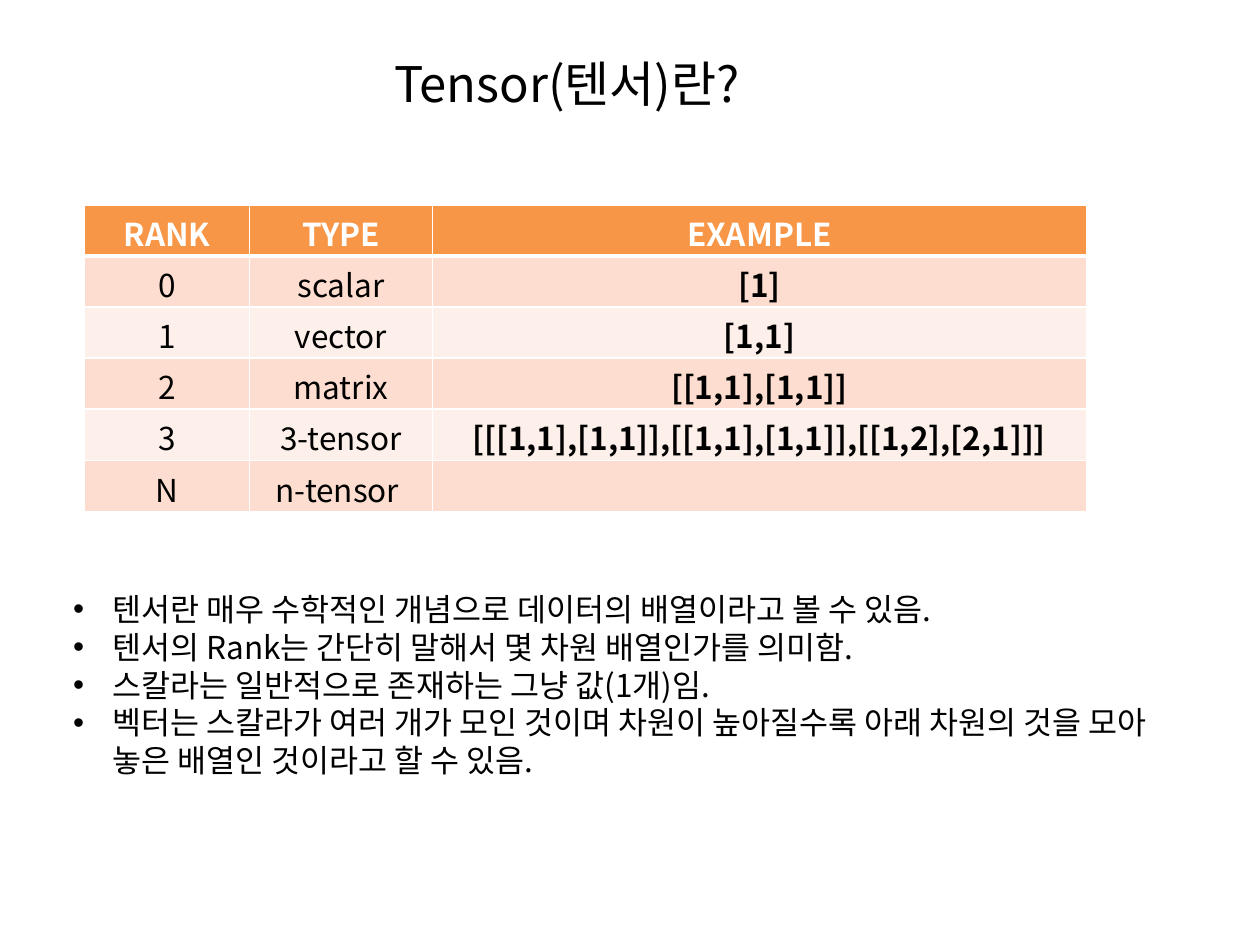
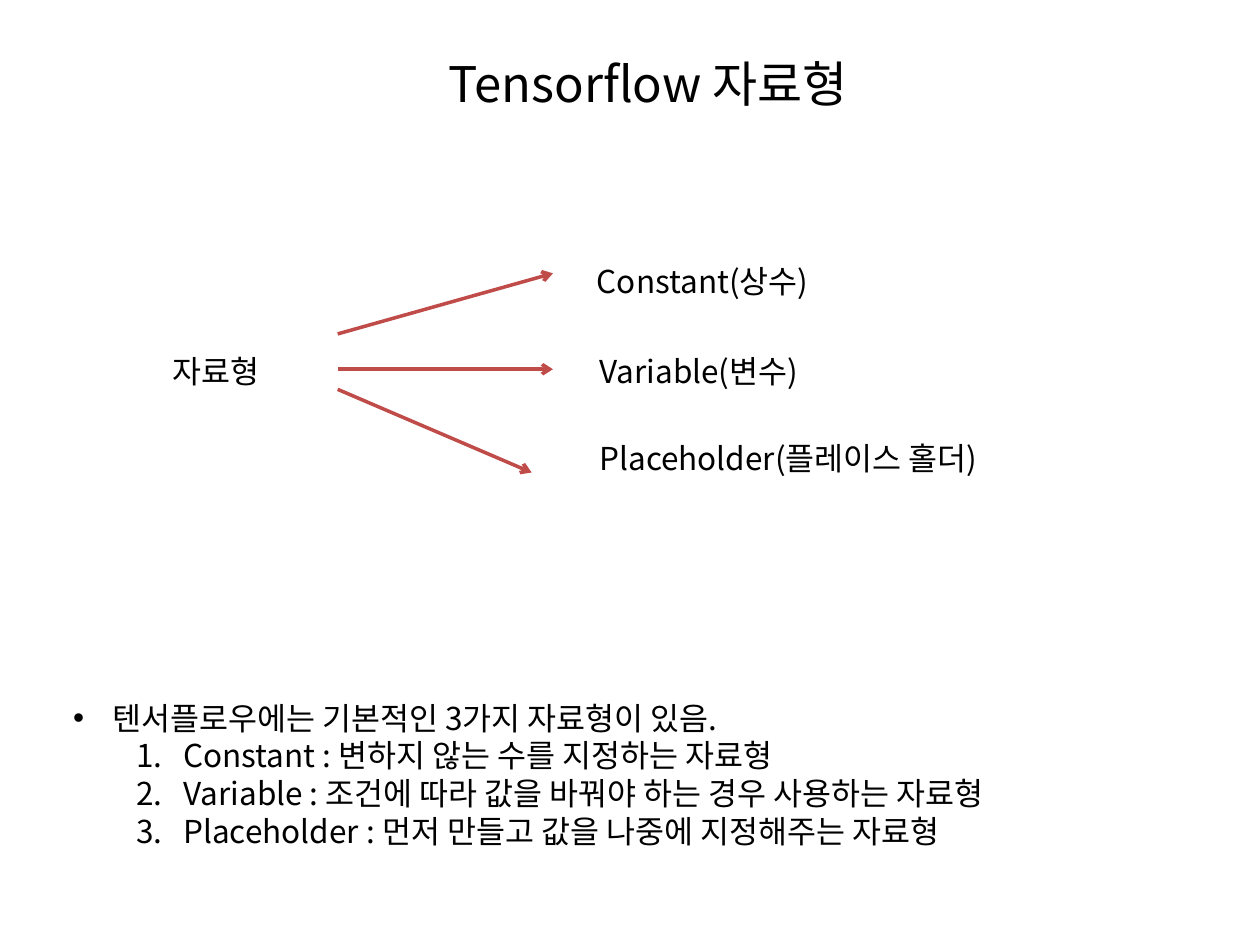
import pptx
import pptx.util
import pptx.dml.color
import pptx.enum.shapes
import pptx.enum.text
import pptx.oxml
import pptx.oxml.ns
import lxml.etree

Pt = pptx.util.Pt
RGBColor = pptx.dml.color.RGBColor
PP_ALIGN = pptx.enum.text.PP_ALIGN
qn = pptx.oxml.ns.qn

FONT = "Noto Sans CJK KR"
BLACK = RGBColor(0x00, 0x00, 0x00)
WHITE = RGBColor(0xFF, 0xFF, 0xFF)
ORANGE = RGBColor(0xF7, 0x96, 0x46)
PEACH = RGBColor(0xFC, 0xDD, 0xCF)
PALE_PEACH = RGBColor(0xFD, 0xEF, 0xE9)
RED = RGBColor(0xBF, 0x4C, 0x48)


def style_text(frame, size, color=BLACK, bold=False, align=PP_ALIGN.LEFT, spacing=None):
    frame.word_wrap = True
    for para in frame.paragraphs:
        para.alignment = align
        para.space_before = Pt(0)
        if spacing:
            para.line_spacing = Pt(spacing)
        for span in para.runs:
            span.font.name = FONT
            span.font.size = Pt(size)
            span.font.bold = bold
            span.font.color.rgb = color
            east_asian = lxml.etree.SubElement(span.font._element, qn("a:ea"))
            east_asian.set("typeface", FONT)


def place_text(box, text, area, size=18, align=PP_ALIGN.LEFT, spacing=21.6):
    box.left, box.top, box.width, box.height = [Pt(length) for length in area]
    frame = box.text_frame
    frame.text = text
    frame.auto_size = pptx.enum.text.MSO_AUTO_SIZE.NONE
    frame.vertical_anchor = pptx.enum.text.MSO_ANCHOR.TOP
    frame.margin_top = Pt(4.6)
    style_text(frame, size, align=align, spacing=spacing)


deck = pptx.Presentation()
deck.slide_width, deck.slide_height = Pt(720), Pt(540)

topics = [
    ("Tensor(텐서)란?", 218, PP_ALIGN.LEFT, (34.6, 332.6, 637, 116.6), [
        (0, "텐서란 매우 수학적인 개념으로 데이터의 배열이라고 볼 수 있음."),
        (0, "텐서의 Rank는 간단히 말해서 몇 차원 배열인가를 의미함."),
        (0, "스칼라는 일반적으로 존재하는 그냥 값(1개)임."),
        (0, "벡터는 스칼라가 여러 개가 모인 것이며 차원이 높아질수록 아래 차원의 것을 "
            "모아 놓은 배열인 것이라고 할 수 있음."),
    ]),
    ("Tensorflow 자료형", 211.7, PP_ALIGN.CENTER, (34.6, 394.6, 612, 116.6), [
        (0, "텐서플로우에는 기본적인 3가지 자료형이 있음."),
        (1, "Constant : 변하지 않는 수를 지정하는 자료형"),
        (1, "Variable : 조건에 따라 값을 바꿔야 하는 경우 사용하는 자료형"),
        (1, "Placeholder : 먼저 만들고 값을 나중에 지정해주는 자료형"),
    ]),
]
for title, title_left, title_align, list_area, items in topics:
    page = deck.slides.add_slide(deck.slide_layouts[1])
    place_text(page.shapes.title, title, (title_left, 23.8, 317.5, 41), 28, title_align, 35.6)
    body = page.placeholders[1]
    place_text(body, "\n".join(text for level, text in items), list_area)
    for para, (level, text) in zip(body.text_frame.paragraphs, items):
        para.level = level
        margin, indent = [(22.5, -22.5), (63, -27)][level]
        properties = para._p.get_or_add_pPr()
        properties.set("marL", str(Pt(margin)))
        properties.set("indent", str(Pt(indent)))
        if level:
            bullet = lxml.etree.SubElement(properties, qn("a:buAutoNum"))
            bullet.set("type", "arabicPeriod")
        else:
            bullet_font = lxml.etree.SubElement(properties, qn("a:buFont"))
            bullet_font.set("typeface", "Arial")
            bullet = lxml.etree.SubElement(properties, qn("a:buChar"))
            bullet.set("char", "•")

tensor_page, types_page = deck.slides

rank_rows = [
    ("RANK", "TYPE", "EXAMPLE"),
    ("0", "scalar", "[1]"),
    ("1", "vector", "[1,1]"),
    ("2", "matrix", "[[1,1],[1,1]]"),
    ("3", "3-tensor", "[[[1,1],[1,1]],[[1,1],[1,1]],[[1,2],[2,1]]]"),
    ("N", "n-tensor ", ""),
]
table = tensor_page.shapes.add_table(
    len(rank_rows), 3, Pt(48.4), Pt(117), Pt(572.4), Pt(175.2)).table
for column, width in zip(table.columns, (94.3, 104.4, 373.7)):
    column.width = Pt(width)
for row_index, texts in enumerate(rank_rows):
    header = row_index == 0
    table.rows[row_index].height = Pt(29.2)
    for column_index, text in enumerate(texts):
        cell = table.cell(row_index, column_index)
        cell.text = text
        cell.margin_top, cell.margin_bottom = Pt(3), Pt(0)
        style_text(cell.text_frame, 18, WHITE if header else BLACK,
                   header or column_index == 2, PP_ALIGN.CENTER)
        cell_properties = cell._tc.get_or_add_tcPr()
        for side in ("L", "R", "T", "B"):
            thick = (header and side == "B") or (row_index == 1 and side == "T")
            border = lxml.etree.SubElement(cell_properties, qn("a:ln" + side))
            border.set("w", str(Pt(3 if thick else 1)))
            border_fill = lxml.etree.SubElement(border, qn("a:solidFill"))
            lxml.etree.SubElement(border_fill, qn("a:srgbClr")).set("val", str(WHITE))
        cell.fill.solid()
        cell.fill.fore_color.rgb = ORANGE if header else (PALE_PEACH, PEACH)[row_index % 2]

labels = [
    ("자료형", 91.4, 196.6, 92),
    ("Constant(상수)", 334, 145.4, 263.5),
    ("Variable(변수)", 335.5, 196.6, 263.5),
    ("Placeholder(플레이스 홀더)", 335.5, 246.2, 263.5),
]
for text, left, top, width in labels:
    place_text(types_page.shapes.add_textbox(0, 0, 0, 0), text, (left, top, width, 29))

for start_y, end_x, end_y in [(190.8, 316, 156.2), (211, 316, 211), (222.5, 303.8, 270)]:
    arrow = types_page.shapes.add_connector(
        pptx.enum.shapes.MSO_CONNECTOR.STRAIGHT, Pt(193), Pt(start_y), Pt(end_x), Pt(end_y))
    arrow.line.color.rgb = RED
    arrow.line.width = Pt(2)
    lxml.etree.SubElement(arrow.line._get_or_add_ln(), qn("a:tailEnd")).set("type", "arrow")
    lxml.etree.SubElement(arrow._element.spPr, qn("a:effectLst"))

deck.save("out.pptx")
